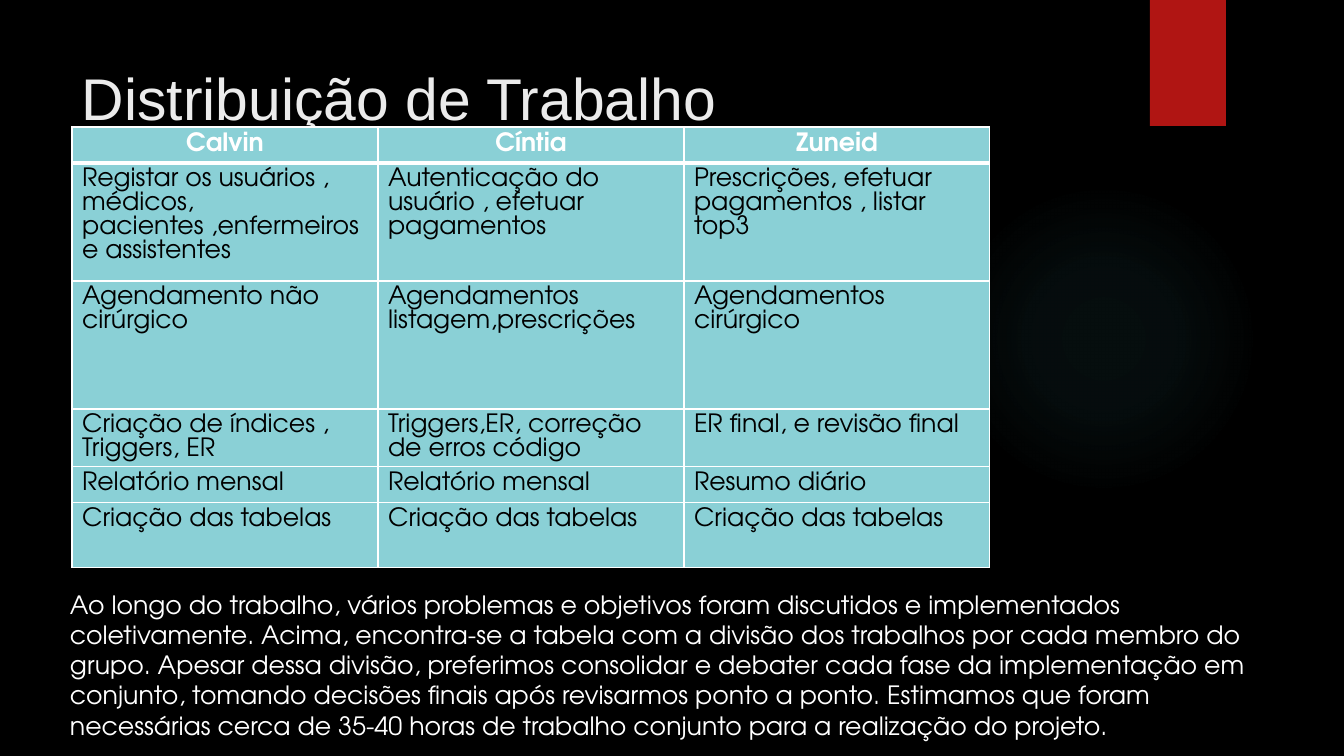
import pptx
import pptx.util
import pptx.dml.color
import pptx.enum.shapes
import pptx.enum.text
import pptx.oxml
from dataclasses import dataclass

PX = 914400 / 100.8
NS = 'xmlns:a="http://schemas.openxmlformats.org/drawingml/2006/main"'
ALIGN = pptx.enum.text.PP_ALIGN
KIND = pptx.enum.shapes.MSO_SHAPE


@dataclass(frozen=True)
class Theme:
    back: str = "000000"
    red: str = "B01513"
    glow: str = "50B9C1"
    cell: str = "8AD0D6"
    white: str = "FFFFFF"
    black: str = "000000"
    title: str = "EBEBEB"
    head: str = "Arial"
    body: str = "TeX Gyre Adventor"
    big: int = 42
    text: int = 18
    line: int = 17


THEME = Theme()

ROWS = [
    ("Calvin", "Cíntia", "Zuneid"),
    ("Registar os usuários , médicos, pacientes ,enfermeiros e assistentes",
     "Autenticação do usuário , efetuar pagamentos",
     "Prescrições, efetuar pagamentos , listar top3"),
    ("Agendamento não cirúrgico", "Agendamentos listagem,prescrições",
     "Agendamentos cirúrgico"),
    ("Criação de índices , Triggers, ER",
     "Triggers,ER, correção de erros código",
     "ER final, e revisão final"),
    ("Relatório mensal", "Relatório mensal", "Resumo diário"),
    ("Criação das tabelas",) * 3,
]
HEIGHTS = [36, 118, 128, 57, 36, 65]
WIDTH = 306

NOTE = (
    "Ao longo do trabalho, vários problemas e objetivos foram discutidos e "
    "implementados coletivamente. Acima, encontra-se a tabela com a divisão "
    "dos trabalhos por cada membro do grupo. Apesar dessa divisão, preferimos "
    "consolidar e debater cada fase da implementação em conjunto, tomando "
    "decisões finais após revisarmos ponto a ponto. Estimamos que foram "
    "necessárias cerca de 35-40 horas de trabalho conjunto para a realização "
    "do projeto."
)


def px(num):
    return pptx.util.Emu(round(num * PX))


def rgb(code):
    return pptx.dml.color.RGBColor.from_string(code)


def style(para, size, face, color, bold=False):
    for run in para.runs:
        run.font.size = pptx.util.Pt(size)
        run.font.name = face
        run.font.bold = bold
        run.font.color.rgb = rgb(color)


def add_shape(slide, kind, box, color):
    shape = slide.shapes.add_shape(kind, *map(px, box))
    shape.shadow.inherit = False
    shape.fill.solid()
    shape.fill.fore_color.rgb = rgb(color)
    shape.line.fill.background()
    return shape


def add_glow(slide, box):
    shape = add_shape(slide, KIND.OVAL, box, THEME.glow)
    stops = "".join(
        f'<a:gs pos="{pos}000"><a:srgbClr val="{THEME.glow}">'
        f'<a:alpha val="{alpha}000"/></a:srgbClr></a:gs>'
        for pos, alpha in ((0, 7), (36, 6), (69, 0), (100, 0)))
    fill = pptx.oxml.parse_xml(
        f'<a:gradFill {NS}><a:gsLst>{stops}</a:gsLst><a:path path="circle">'
        '<a:fillToRect l="50000" t="50000" r="50000" b="50000"/>'
        '</a:path></a:gradFill>')
    props = shape.element.spPr
    props.replace(props.find(pptx.oxml.ns.qn("a:solidFill")), fill)


def add_text(slide, box, text, size, face, color, top=5):
    frame = slide.shapes.add_textbox(*map(px, box)).text_frame
    frame.word_wrap = True
    frame.margin_top = px(top)
    frame.text = text
    style(frame.paragraphs[0], size, face, color)


def set_edges(cell, widths):
    # Borders come before the fill in the cell properties
    props = cell._tc.get_or_add_tcPr()
    for spot, (side, width) in enumerate(widths.items()):
        props.insert(spot, pptx.oxml.parse_xml(
            f'<a:ln{side} {NS} w="{pptx.util.Pt(width)}"><a:solidFill>'
            f'<a:srgbClr val="{THEME.white}"/></a:solidFill></a:ln{side}>'))


def fill_cell(cell, text, row):
    head = row == 0
    cell.fill.solid()
    cell.fill.fore_color.rgb = rgb(THEME.cell)
    cell.text_frame.text = text
    para = cell.text_frame.paragraphs[0]
    para.alignment = ALIGN.CENTER if head else ALIGN.LEFT
    para.line_spacing = pptx.util.Pt(THEME.line)
    style(para, THEME.text, THEME.body,
          THEME.white if head else THEME.black, head)
    set_edges(cell, {"L": 1, "R": 1, "T": 3 if row == 1 else 1,
                     "B": 3 if head else 1})


def add_grid(slide, left, top):
    count = len(ROWS[0])
    table = slide.shapes.add_table(
        len(ROWS), count, px(left), px(top),
        px(WIDTH * count), px(sum(HEIGHTS))).table
    for col in table.columns:
        col.width = px(WIDTH)
    for row, (texts, height) in enumerate(zip(ROWS, HEIGHTS)):
        table.rows[row].height = px(height)
        for col, text in enumerate(texts):
            fill_cell(table.cell(row, col), text, row)


def main():
    deck = pptx.Presentation()
    deck.slide_width, deck.slide_height = px(1344), px(756)
    slide = deck.slides.add_slide(deck.slide_layouts[6])

    # Backdrop
    slide.background.fill.solid()
    slide.background.fill.fore_color.rgb = rgb(THEME.back)
    add_glow(slide, (949, 184, 310, 310))
    add_shape(slide, KIND.RECTANGLE, (1150, 0, 76, 126), THEME.red)

    # Title, work table and closing note
    add_text(slide, (72, 50, 1037, 154), "Distribuição de Trabalho",
             THEME.big, THEME.head, THEME.title, top=12)
    add_grid(slide, 72, 127)
    add_text(slide, (60, 584, 1224, 163), NOTE,
             THEME.text, THEME.body, THEME.white)

    deck.save("out.pptx")


if __name__ == "__main__":
    main()
